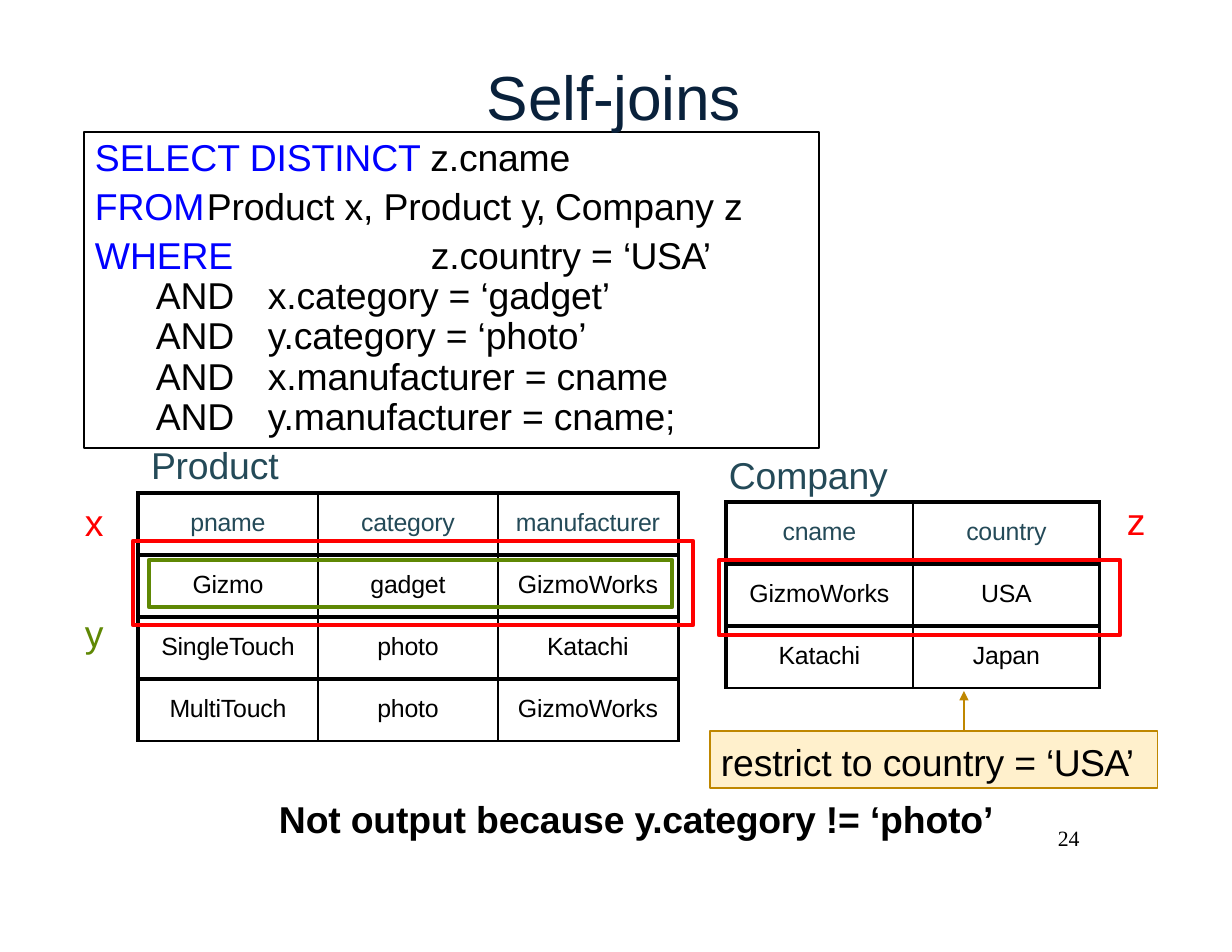
from dataclasses import dataclass
from typing import NamedTuple

import pptx
import pptx.dml.color
import pptx.enum.shapes
import pptx.enum.text
import pptx.oxml
import pptx.oxml.ns
import pptx.util

RGB = pptx.dml.color.RGBColor
Pt = pptx.util.Pt
SHAPE = pptx.enum.shapes.MSO_SHAPE
ALIGN = pptx.enum.text.PP_ALIGN
qn = pptx.oxml.ns.qn

PX = 914400 // 112
BLACK = RGB(0, 0, 0)
NAVY = RGB(0x09, 0x21, 0x3B)
TEAL = RGB(0x24, 0x4A, 0x58)
BLUE = RGB(0, 0, 0xFF)
RED = RGB(0xFF, 0, 0)
GREEN = RGB(0x5F, 0x88, 0x04)
CREAM = RGB(0xFF, 0xF0, 0xCC)
GOLD = RGB(0xBF, 0x87, 0x00)


class Box(NamedTuple):
    x: int
    y: int
    w: int
    h: int

    def emu(self) -> list[int]:
        return [v * PX for v in self]


class Run(NamedTuple):
    text: str
    color: RGB = BLACK
    spc: int = -10  # hundredths of a point


@dataclass
class Line:
    runs: list[Run]
    height: float | None = None
    indent: int = 0


@dataclass
class Label:
    box: Box
    runs: list[Run]
    size: int = 24
    bold: bool = False
    font: str = "Arial"


@dataclass
class Grid:
    box: Box
    rows: list[list[str]]
    left_border: float


@dataclass
class Frame:
    box: Box
    color: RGB


SQL = [
    Line([Run("SELECT ", BLUE, 0), Run("DISTINCT ", BLUE), Run("z.cname")], 30, 11),
    Line([Run("FROM\t", BLUE), Run("Product x, Product "), Run("y, ", BLACK, -90),
          Run("Company "), Run("z", BLACK, 0)], 31.5, 11),
    Line([Run("WHERE\t\t", BLUE), Run("z.country = "), Run("‘USA’", BLACK, -40)], 31.5, 11),
] + [
    Line([Run(f"AND\t{condition}")], 26, 72)
    for condition in ("x.category = ‘gadget’", "y.category = ‘photo’",
                      "x.manufacturer = cname", "y.manufacturer = cname;")
]

GRIDS = [
    Grid(Box(138, 493, 540, 248), [
        ["pname", "category", "manufacturer"],
        ["Gizmo", "gadget", "GizmoWorks"],
        ["SingleTouch", "photo", "Katachi"],
        ["MultiTouch", "photo", "GizmoWorks"],
    ], 3),
    Grid(Box(726, 502, 374, 186), [
        ["cname", "country"],
        ["GizmoWorks", "USA"],
        ["Katachi", "Japan"],
    ], 2.25),
]

FRAMES = [
    Frame(Box(133, 541, 560, 84), RED),
    Frame(Box(719, 560, 401, 75), RED),
    Frame(Box(149, 560, 523, 47), GREEN),
]

LABELS = [
    Label(Box(486, 57, 259, 78), [Run("Self-joins", NAVY)], 40),
    Label(Box(150, 441, 132, 48), [Run("Product", TEAL)]),
    Label(Box(728, 451, 162, 48), [Run("Company", TEAL)]),
    Label(Box(84, 498, 21, 48), [Run("x", RED)]),
    Label(Box(84, 609, 21, 48), [Run("y", GREEN)]),
    Label(Box(1126, 497, 21, 48), [Run("z", RED)]),
    Label(Box(278, 795, 725, 48),
          [Run("Not output because "), Run("y.category ", BLACK, -20), Run("!= ‘photo’")],
          bold=True),
    Label(Box(1057, 824, 25, 29), [Run("24")], 14, font="Times New Roman"),
]


def add_runs(p, runs: list[Run], size: int = 24, bold: bool = False,
             font: str = "Arial") -> None:
    for run in runs:
        r = p.add_run()
        r.text = run.text
        for name, value in {"name": font, "size": Pt(size), "bold": bold}.items():
            setattr(r.font, name, value)
        r.font.color.rgb = run.color
        r.font._element.set("spc", str(run.spc))


def set_frame(tf, left: int, top: int, wrap: bool) -> None:
    values = {"margin_left": left * PX, "margin_top": top * PX, "margin_right": 0,
              "margin_bottom": 0, "word_wrap": wrap,
              "vertical_anchor": pptx.enum.text.MSO_ANCHOR.TOP}
    for name, value in values.items():
        setattr(tf, name, value)


def draw_label(s, label: Label) -> None:
    tf = s.shapes.add_textbox(*label.box.emu()).text_frame
    set_frame(tf, 1, 1, False)
    add_runs(tf.paragraphs[0], label.runs, label.size, label.bold, label.font)


def draw_rect(s, box: Box, line: RGB, width: float, fill: RGB | None = None):
    sp = s.shapes.add_shape(SHAPE.RECTANGLE, *box.emu())
    sp.shadow.inherit = False
    sp.line.color.rgb = line
    sp.line.width = Pt(width)
    if fill is None:
        sp.fill.background()
    else:
        sp.fill.solid()
        sp.fill.fore_color.rgb = fill
    return sp


def draw_text_panel(sp, lines: list[Line], top: int) -> None:
    """Fill a rectangle with left-aligned lines whose tabs fall every inch."""
    tf = sp.text_frame
    set_frame(tf, 0, top, True)
    for i, line in enumerate(lines):
        p = tf.add_paragraph() if i else tf.paragraphs[0]
        p.alignment = ALIGN.LEFT
        if line.height:
            p.line_spacing = Pt(line.height)
        pPr = p._p.get_or_add_pPr()
        for name, value in {"marL": line.indent * PX, "indent": 0,
                            "defTabSz": 914400}.items():
            pPr.set(name, str(value))
        add_runs(p, line.runs)


def set_border(cell, side: str, width: float) -> None:
    tcPr = cell._tc.get_or_add_tcPr()
    ln = pptx.oxml.ns.nsdecls("a")
    tcPr.append(pptx.oxml.parse_xml(
        f'<a:ln{side} {ln} w="{int(Pt(width))}"><a:solidFill>'
        f'<a:srgbClr val="{BLACK}"/></a:solidFill></a:ln{side}>'))


def draw_grid(s, grid: Grid) -> None:
    n_rows, n_cols = len(grid.rows), len(grid.rows[0])
    table = s.shapes.add_table(n_rows, n_cols, *grid.box.emu()).table
    table.first_row = table.horz_banding = False
    for i, row in enumerate(grid.rows):
        for j, text in enumerate(row):
            cell = table.cell(i, j)
            for name, value in {"left": 0, "top": 16 * PX, "right": 0, "bottom": 0}.items():
                setattr(cell, f"margin_{name}", value)
            p = cell.text_frame.paragraphs[0]
            p.alignment = ALIGN.CENTER
            add_runs(p, [Run(text, BLACK if i else TEAL)], 16)
            set_border(cell, "L", 1 if j else grid.left_border)
            set_border(cell, "R", 1 if j < n_cols - 1 else 2.25)
            set_border(cell, "T", 3 if i else 2.25)
            set_border(cell, "B", 3 if i < n_rows - 1 else 1.5)
            cell.fill.background()


def draw_arrow(s, x: int, start: int, end: int, color: RGB) -> None:
    c = s.shapes.add_connector(pptx.enum.shapes.MSO_CONNECTOR.STRAIGHT,
                               x * PX, start * PX, x * PX, end * PX)
    c.line.color.rgb = color
    c.line.width = Pt(1.5)
    ln = c.line._get_or_add_ln()
    ln.append(ln.makeelement(qn("a:tailEnd"), {"type": "triangle"}))
    spPr = c._element.spPr
    spPr.append(spPr.makeelement(qn("a:effectLst"), {}))


def main() -> None:
    prs = pptx.Presentation()
    prs.slide_width, prs.slide_height = 1232 * PX, 952 * PX
    s = prs.slides.add_slide(prs.slide_layouts[6])

    draw_text_panel(draw_rect(s, Box(84, 132, 735, 316), BLACK, 1), SQL, 0)
    for grid in GRIDS:
        draw_grid(s, grid)
    for frame in FRAMES:
        draw_rect(s, frame.box, frame.color, 3)
    note = draw_rect(s, Box(710, 731, 448, 57), GOLD, 0.75, CREAM)
    draw_text_panel(note, [Line([Run("restrict to country = "),
                                 Run("‘USA’", BLACK, -40)], indent=11)], 8)
    draw_arrow(s, 964, 731, 691, GOLD)
    for label in LABELS:
        draw_label(s, label)
    prs.save("out.pptx")


if __name__ == "__main__":
    main()
